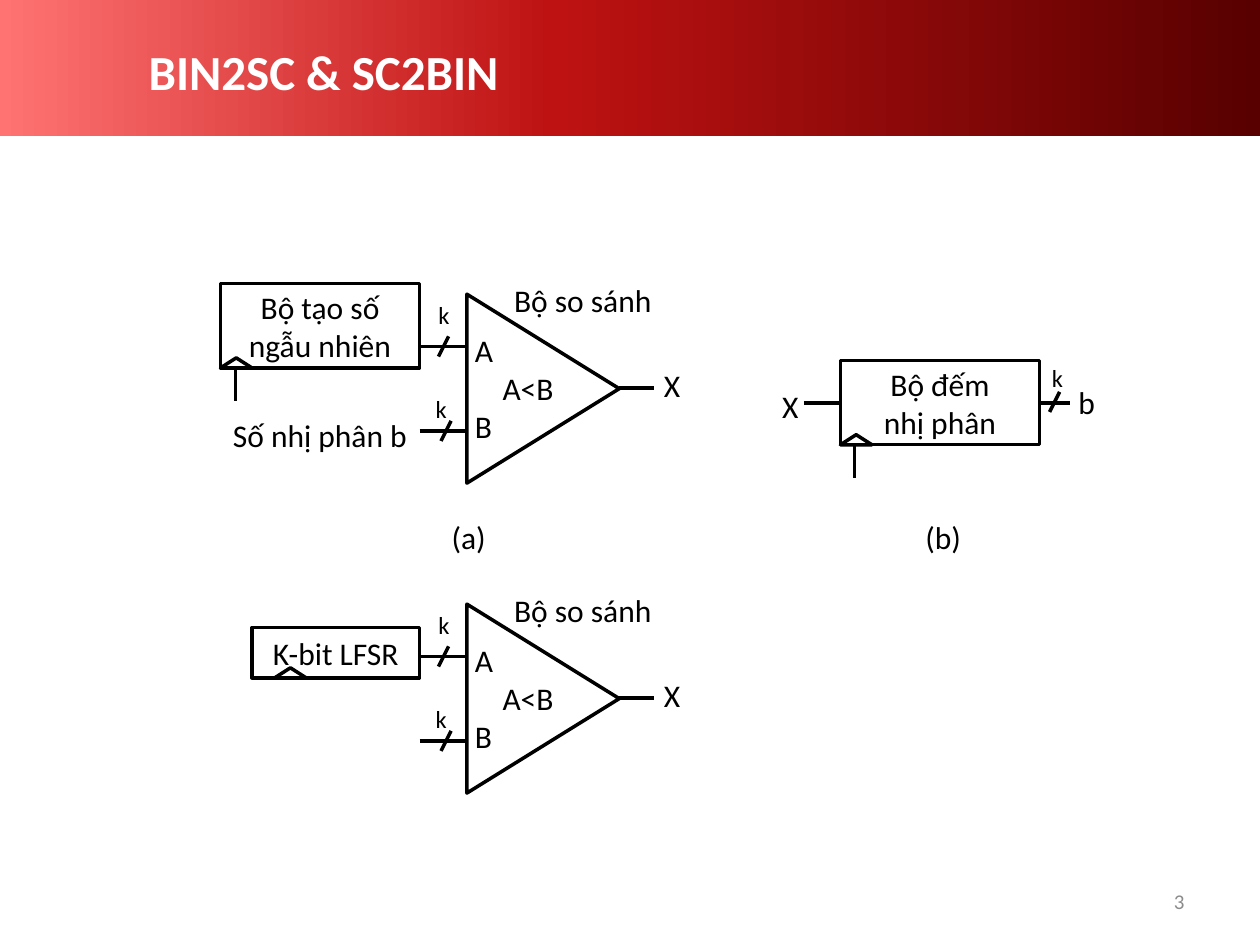
from copy import deepcopy
from dataclasses import dataclass

from lxml.etree import SubElement
from pptx import Presentation
from pptx.dml.color import RGBColor as Color
from pptx.enum.shapes import MSO_CONNECTOR as Connector, MSO_SHAPE as Preset
from pptx.enum.text import MSO_ANCHOR as Anchor, PP_ALIGN as Align
from pptx.oxml.ns import qn
from pptx.util import Inches, Pt


@dataclass(frozen=True)
class Theme:
    font: str = "Calibri"
    ink: str = "000000"
    title_ink: str = "FFFFFF"
    muted: str = "8C8C8C"
    banner: tuple = ((0, "FF7373"), (0.44, "BE1212"), (1, "580000"))
    title_size: int = 28
    text_size: int = 18
    bus_size: int = 14
    number_size: int = 12
    line_width: float = 2


class CircuitSlide:
    """Draws a circuit slide on a grid of 10 columns and 7.5 rows."""

    def __init__(self, presentation, theme):
        self.theme = theme
        self.slide = presentation.slides.add_slide(presentation.slide_layouts[5])
        self.column = presentation.slide_width / 10
        self.row = presentation.slide_height / 7.5

    def place(self, left, top, width, height):
        return (round(left * self.column), round(top * self.row),
                round(width * self.column), round(height * self.row))

    def add_lines(self, frame, lines, size, color=None, align=Align.CENTER, bold=False):
        frame.word_wrap = True
        for index, line in enumerate(lines):
            paragraph = frame.paragraphs[0] if index == 0 else frame.add_paragraph()
            paragraph.alignment = align
            run = paragraph.add_run()
            run.text = line
            run.font.name = self.theme.font
            run.font.size = Pt(size)
            run.font.bold = bold
            run.font.color.rgb = Color.from_string(color or self.theme.ink)

    def outline(self, line):
        line.color.rgb = Color.from_string(self.theme.ink)
        line.width = Pt(self.theme.line_width)

    def shape(self, preset, *box):
        shape = self.slide.shapes.add_shape(preset, *self.place(*box))
        shape.shadow.inherit = False
        shape.fill.background()
        self.outline(shape.line)
        return shape

    def banner(self, height):
        banner = self.shape(Preset.RECTANGLE, 0, 0, 10, height)
        banner.line.fill.background()
        banner.fill.gradient()
        banner.fill.gradient_angle = 0
        stop_list = banner.element.spPr.find(qn("a:gradFill")).find(qn("a:gsLst"))
        stop_list.append(deepcopy(stop_list[0]))
        for stop, (position, color) in zip(banner.fill.gradient_stops, self.theme.banner):
            stop.position = position
            stop.color.rgb = Color.from_string(color)
        self.slide.shapes.title.element.addprevious(banner.element)

    def title(self, text, *box):
        title = self.slide.shapes.title
        title.left, title.top, title.width, title.height = self.place(*box)
        title.text_frame.vertical_anchor = Anchor.MIDDLE
        self.add_lines(title.text_frame, [text], self.theme.title_size,
                       self.theme.title_ink, Align.LEFT, True)

    def label(self, lines, left, top, width, height=0.4, size=None, **style):
        box = self.slide.shapes.add_textbox(*self.place(left, top, width, height))
        self.add_lines(box.text_frame, lines, size or self.theme.text_size, **style)
        return box.text_frame

    def wire(self, left, top, right, bottom):
        ends = self.place(left, top, right, bottom)
        wire = self.slide.shapes.add_connector(Connector.STRAIGHT, *ends)
        self.outline(wire.line)
        SubElement(wire.element.spPr, qn("a:effectLst"))

    def block(self, lines, left, top, width, height, clock=0):
        block = self.shape(Preset.RECTANGLE, left, top, width, height)
        block.text_frame.vertical_anchor = Anchor.MIDDLE
        self.add_lines(block.text_frame, lines, self.theme.text_size)
        self.shape(Preset.ISOSCELES_TRIANGLE, left + clock, top + height - 0.08, 0.25, 0.08)

    def clock_wire(self, center, top):
        self.wire(center, top + 0.27, center, top)

    def bus_mark(self, center, middle, label_left, label_top):
        self.wire(center + 0.04, middle - 0.08, center - 0.04, middle + 0.08)
        self.label(["k"], label_left, label_top, 0.31, 0.34,
                   self.theme.bus_size, align=Align.LEFT)

    def comparator(self, top):
        triangle = self.shape(Preset.ISOSCELES_TRIANGLE, 3.56, top + 0.15, 1.5, 1.21)
        triangle.rotation = 90
        ports = self.label(["A", "A<B", "B"], 3.67, top + 0.25, 1, 1.01, align=Align.LEFT)
        ports.paragraphs[1]._p.get_or_add_pPr().set("marL", str(Inches(0.22)))
        for index, center in enumerate((3.52, 3.54)):
            middle = top + 0.42 + index * 0.67
            self.wire(3.33, middle, 3.71, middle)
            self.bus_mark(center, middle, 3.38 - index * 0.02, middle - 0.42 + index * 0.08)
        self.wire(4.91, top + 0.75, 5.19, top + 0.75)
        self.label(["X"], 5.17, top + 0.53, 0.32)
        self.label(["Bộ so sánh"], 3.92, top - 0.15, 1.41)

    def counter(self, left, top):
        middle = top + 0.34
        self.block(["Bộ đếm", "nhị phân"], left, top, 1.58, 0.67)
        self.clock_wire(left + 0.11, top + 0.66)
        self.wire(left - 0.29, middle, left, middle)
        self.wire(left + 1.82, middle, left + 1.58, middle)
        self.bus_mark(left + 1.7, middle - 0.01, left + 1.58, top - 0.03)
        self.label(["X"], left - 0.56, top + 0.16, 0.32)
        self.label(["b"], left + 1.78, top + 0.13, 0.35)


def main():
    presentation = Presentation()
    presentation.slide_width, presentation.slide_height = Inches(10), Inches(7.5)
    theme = Theme()
    page = CircuitSlide(presentation, theme)
    page.banner(1.08)
    page.title("BIN2SC & SC2BIN", 1.08, 0.17, 8.42, 0.78)

    page.block(["Bộ tạo số ngẫu nhiên"], 1.75, 2.25, 1.58, 0.67)
    page.clock_wire(1.87, 2.91)
    page.label(["Số nhị phân b"], 1.75, 3.25, 1.61, align=Align.LEFT)
    page.comparator(2.33)
    page.label(["(a)"], 3.46, 4.06, 0.52)

    page.counter(6.67, 2.86)
    page.label(["(b)"], 7.22, 4.06, 0.53)

    page.block(["K-bit LFSR"], 2, 4.98, 1.33, 0.4, clock=0.18)
    page.comparator(4.79)
    page.label(["3"], 7.17, 6.95, 2.33, size=theme.number_size,
               color=theme.muted, align=Align.RIGHT).vertical_anchor = Anchor.MIDDLE
    presentation.save("out.pptx")


if __name__ == "__main__":
    main()
